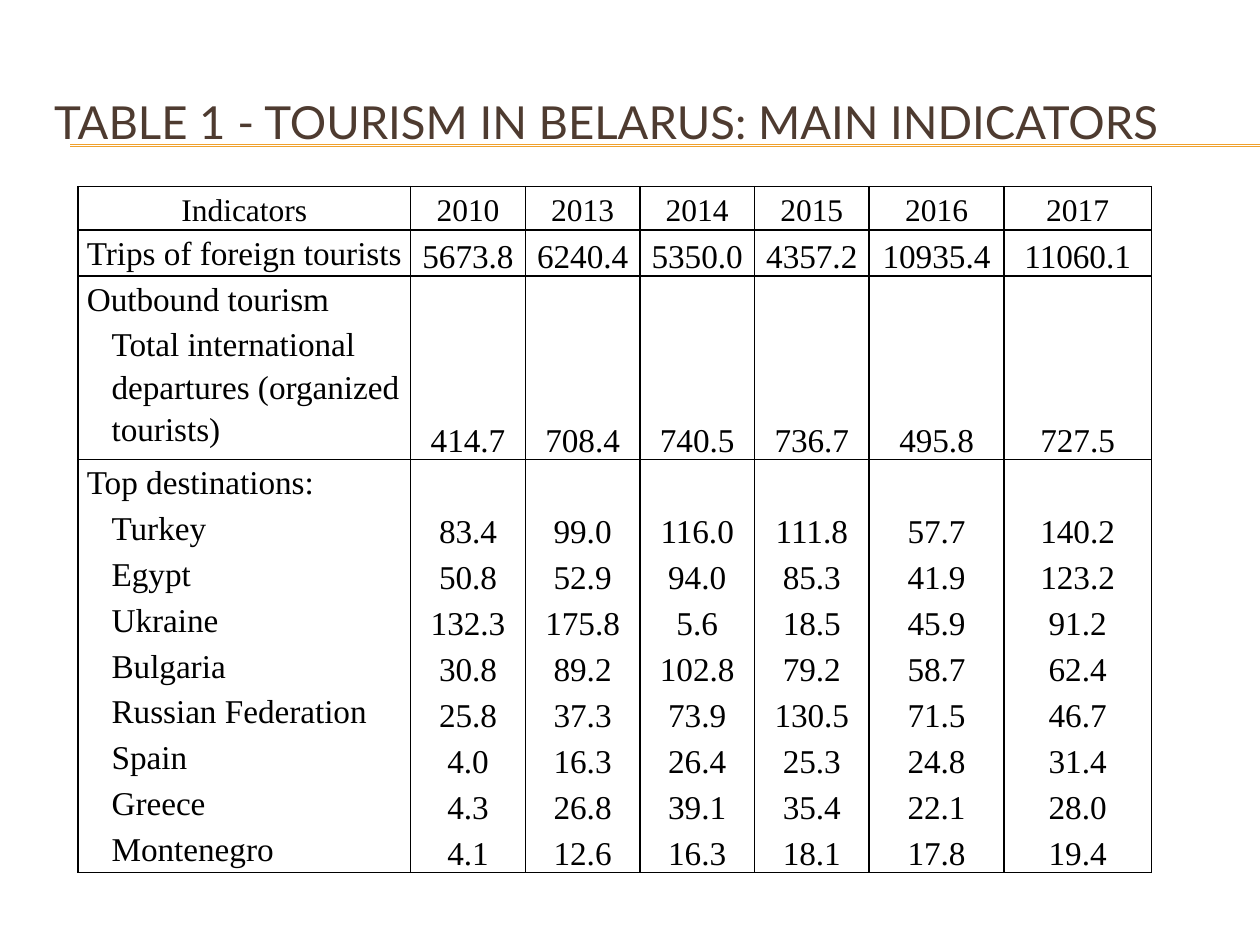
"""Builds a slide with a table of the main tourism indicators of Belarus."""
from lxml import etree
from pptx import Presentation
from pptx.dml.color import RGBColor
from pptx.enum.shapes import MSO_CONNECTOR
from pptx.enum.text import MSO_ANCHOR, PP_ALIGN
from pptx.oxml.ns import qn
from pptx.util import Cm, Pt

STRAIGHT = MSO_CONNECTOR.STRAIGHT
TOP, MIDDLE, BOTTOM = MSO_ANCHOR.TOP, MSO_ANCHOR.MIDDLE, MSO_ANCHOR.BOTTOM
LEFT, CENTER = PP_ALIGN.LEFT, PP_ALIGN.CENTER

BROWN = RGBColor(0x4E, 0x3B, 0x30)
ORANGE = RGBColor(0xF0, 0xA2, 0x2E)
BLACK = RGBColor(0x00, 0x00, 0x00)

TITLE = "TABLE 1 - TOURISM IN BELARUS: MAIN INDICATORS"
TITLE_FONT = "Lato"
TABLE_FONT = "Times New Roman"
SLIDE_WIDTH, SLIDE_HEIGHT = Cm(25.4), Cm(19.05)
COLUMN_WIDTHS = [Cm(w) for w in (6.71, 2.31, 2.31, 2.31, 2.31, 2.72, 2.97)]
HEADER_HEIGHT, ROW_HEIGHT = Cm(0.84), Cm(0.61)
HEADER_MARGIN, BODY_MARGIN = Cm(0.13), Cm(0.18)
ITEM_INDENT = Cm(0.5)

HEADER = ["Indicators", "2010", "2013", "2014", "2015", "2016", "2017"]
GROUPS = [
    [["Trips of foreign tourists",
      "5673.8", "6240.4", "5350.0", "4357.2", "10935.4", "11060.1"]],
    [["Outbound tourism"],
     ["Total international departures (organized tourists)",
      "414.7", "708.4", "740.5", "736.7", "495.8", "727.5"]],
    [["Top destinations:"],
     ["Turkey", "83.4", "99.0", "116.0", "111.8", "57.7", "140.2"],
     ["Egypt", "50.8", "52.9", "94.0", "85.3", "41.9", "123.2"],
     ["Ukraine", "132.3", "175.8", "5.6", "18.5", "45.9", "91.2"],
     ["Bulgaria", "30.8", "89.2", "102.8", "79.2", "58.7", "62.4"],
     ["Russian Federation", "25.8", "37.3", "73.9", "130.5", "71.5", "46.7"],
     ["Spain", "4.0", "16.3", "26.4", "25.3", "24.8", "31.4"],
     ["Greece", "4.3", "26.8", "39.1", "35.4", "22.1", "28.0"],
     ["Montenegro", "4.1", "12.6", "16.3", "18.1", "17.8", "19.4"]],
]


def add_run(paragraph, text, font, size, color):
    """Append one formatted run to a paragraph."""
    run = paragraph.add_run()
    run.text = text
    run.font.name = font
    run.font.size = Pt(size)
    run.font.color.rgb = color


def add_title(slide):
    """Add the slide title."""
    title = slide.shapes.add_textbox(Cm(0.84), Cm(1.27), Cm(24.13), Cm(2.34))
    frame = title.text_frame
    frame.word_wrap = True
    frame.vertical_anchor = MIDDLE
    add_run(frame.paragraphs[0], TITLE, TITLE_FONT, 26, BROWN)


def add_rule(slide, y):
    """Add a thin rule that runs to the right edge of the slide."""
    rule = slide.shapes.add_connector(STRAIGHT, Cm(1.42), y, SLIDE_WIDTH, y)
    rule.line.color.rgb = ORANGE
    rule.line.width = Pt(0.75)
    etree.SubElement(rule._element.spPr, qn("a:effectLst"))


def set_borders(cell, top, bottom):
    """Draw the side borders of a cell, and its top and bottom on request."""
    properties = cell._tc.get_or_add_tcPr()
    sides = {"lnL": True, "lnR": True, "lnT": top, "lnB": bottom}
    for side, visible in sides.items():
        border = etree.SubElement(properties, qn(f"a:{side}"), w=str(Pt(1)))
        if visible:
            fill = etree.SubElement(border, qn("a:solidFill"))
            etree.SubElement(fill, qn("a:srgbClr"), val=str(BLACK))
        else:
            etree.SubElement(border, qn("a:noFill"))


def fill_cell(cell, text, size, margin, anchor, align, indent=0):
    """Lay out a cell and write its text, if there is any."""
    cell.fill.background()
    cell.margin_left = cell.margin_right = margin
    cell.margin_top = cell.margin_bottom = 0
    cell.vertical_anchor = anchor
    paragraph = cell.text_frame.paragraphs[0]
    paragraph.alignment = align
    paragraph.line_spacing = 1.15
    if indent:
        paragraph._p.get_or_add_pPr().set("marL", str(indent))
    if text:
        add_run(paragraph, text, TABLE_FONT, size, BLACK)


def fill_body_row(cells, values, is_item, top, bottom):
    """Write a label and its yearly figures into one row."""
    for column, cell in enumerate(cells):
        set_borders(cell, top, bottom)
        text = values[column] if column < len(values) else ""
        if column == 0:
            indent = ITEM_INDENT if is_item else 0
            fill_cell(cell, text, 19, BODY_MARGIN, TOP, LEFT, indent)
        else:
            fill_cell(cell, text, 19, BODY_MARGIN, BOTTOM, CENTER)


def add_indicator_table(slide):
    """Add the table, with each group of rows framed as one block."""
    row_count = 1 + sum(len(group) for group in GROUPS)
    height = HEADER_HEIGHT + ROW_HEIGHT * (row_count - 1)
    table = slide.shapes.add_table(
        row_count, len(HEADER), Cm(1.57), Cm(3.76), sum(COLUMN_WIDTHS), height
    ).table
    table.first_row = table.horz_banding = False
    for column, width in zip(table.columns, COLUMN_WIDTHS):
        column.width = width
    for row in table.rows:
        row.height = ROW_HEIGHT
    table.rows[0].height = HEADER_HEIGHT
    for cell, text in zip(table.rows[0].cells, HEADER):
        set_borders(cell, True, True)
        fill_cell(cell, text, 18, HEADER_MARGIN, MIDDLE, CENTER)
    row_index = 1
    for group in GROUPS:
        for position, values in enumerate(group):
            fill_body_row(table.rows[row_index].cells, values, position > 0,
                          position == 0, position == len(group) - 1)
            row_index += 1


def main():
    """Build and save the slide."""
    presentation = Presentation()
    presentation.slide_width = SLIDE_WIDTH
    presentation.slide_height = SLIDE_HEIGHT
    slide = presentation.slides.add_slide(presentation.slide_layouts[6])
    for y in (Cm(2.92), Cm(2.95)):
        add_rule(slide, y)
    add_title(slide)
    add_indicator_table(slide)
    presentation.save("out.pptx")


if __name__ == "__main__":
    main()
